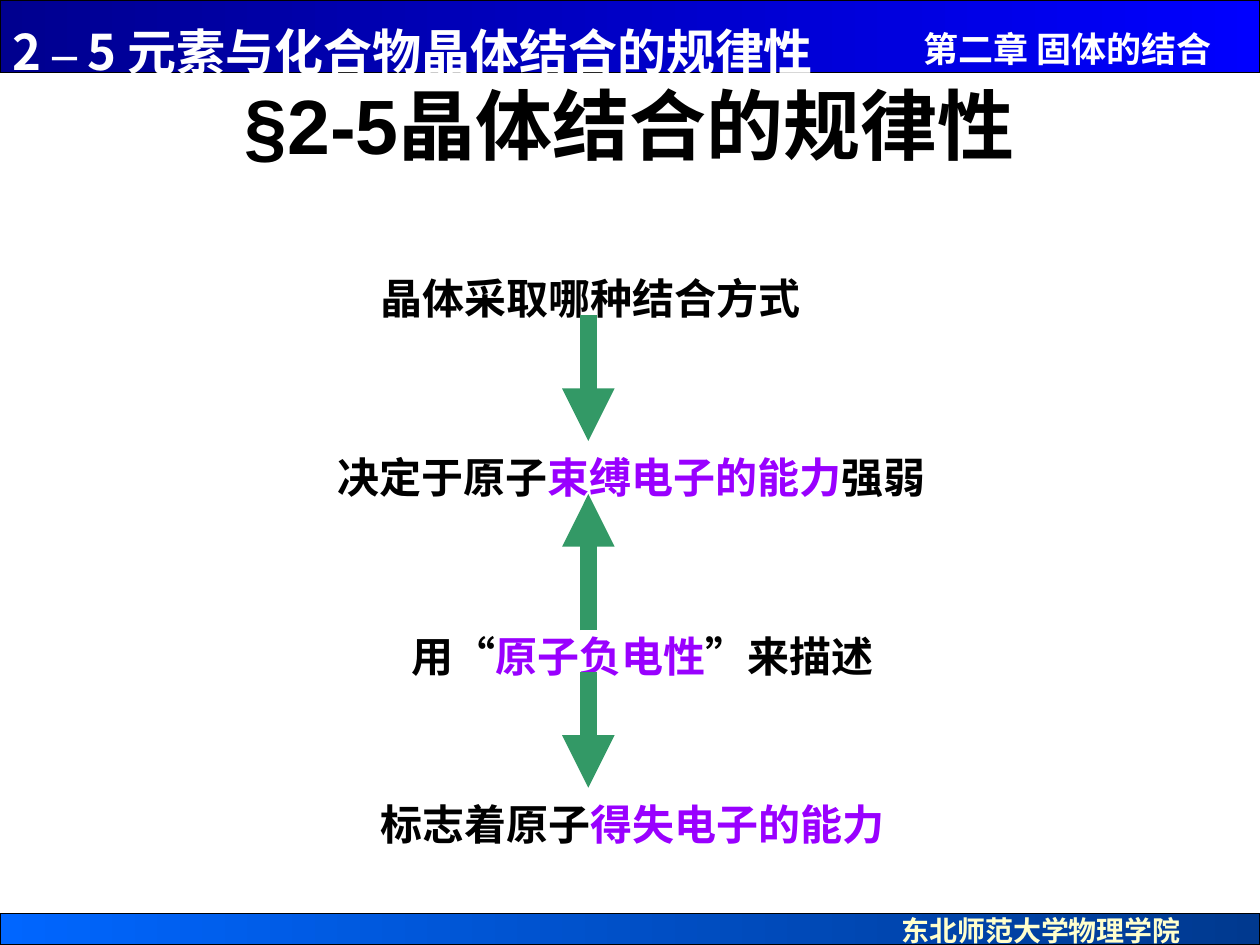
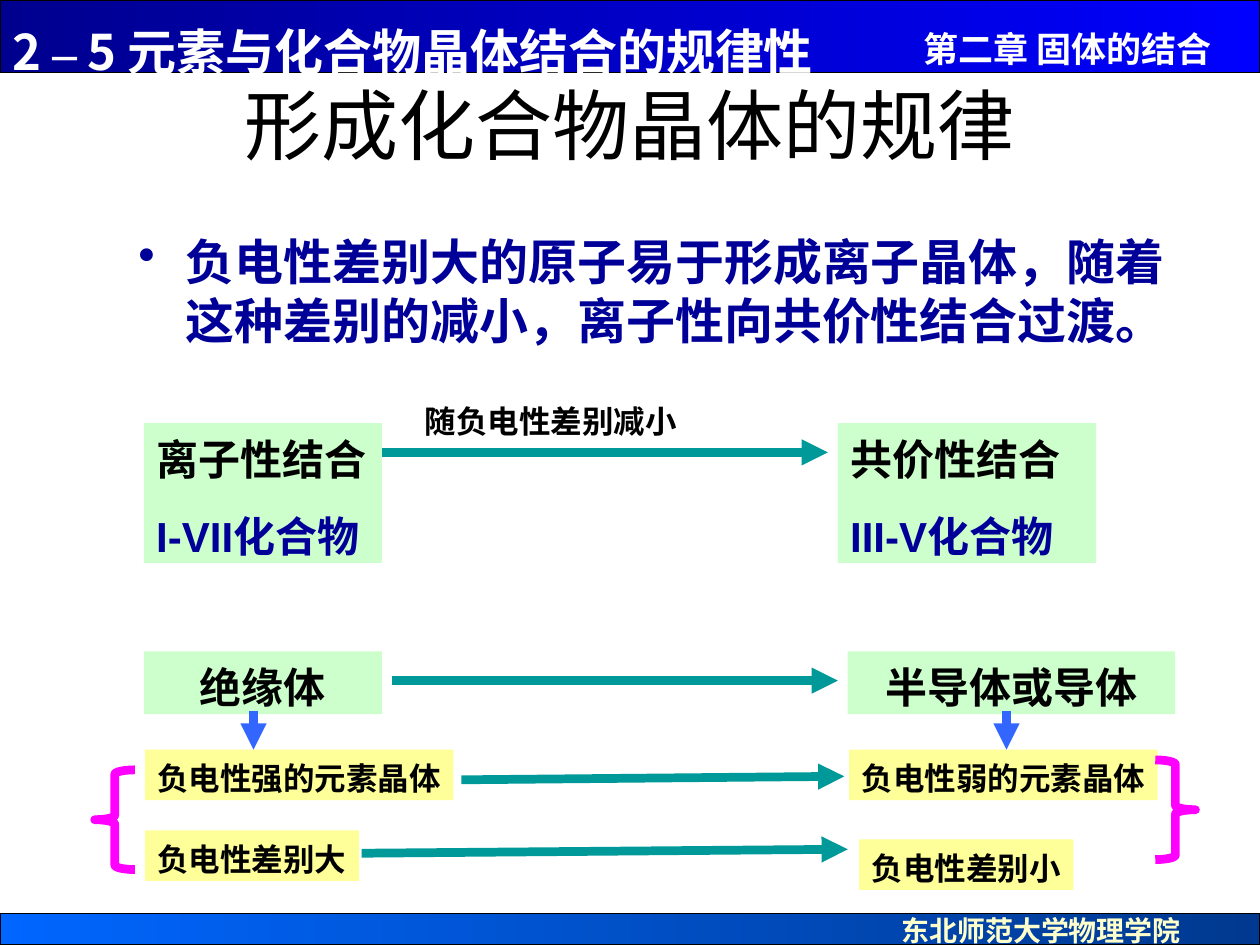
from dataclasses import dataclass

from lxml import etree
from pptx import Presentation
from pptx.dml.color import RGBColor
from pptx.enum.shapes import MSO_CONNECTOR, MSO_SHAPE
from pptx.enum.text import MSO_ANCHOR, MSO_AUTO_SIZE, PP_ALIGN
from pptx.oxml.ns import qn
from pptx.util import Cm, Pt

LEFT, CENTER = PP_ALIGN.LEFT, PP_ALIGN.CENTER
TOP, MIDDLE = MSO_ANCHOR.TOP, MSO_ANCHOR.MIDDLE
NO_FIT = MSO_AUTO_SIZE.NONE
RECTANGLE = MSO_SHAPE.RECTANGLE
LEFT_BRACE, RIGHT_BRACE = MSO_SHAPE.LEFT_BRACE, MSO_SHAPE.RIGHT_BRACE
STRAIGHT = MSO_CONNECTOR.STRAIGHT


@dataclass(frozen=True)
class Theme:
    black: str = "000000"
    white: str = "FFFFFF"
    cream: str = "FFFFCC"
    navy: str = "000099"
    violet: str = "9900FF"
    green: str = "339966"
    teal: str = "009999"
    blue: str = "3366FF"
    magenta: str = "FF00FF"
    mint: str = "CCFFCC"
    yellow: str = "FFFF99"
    header_band: tuple = ("00008F", "0000FF")
    footer_band: tuple = ("0066FF", "00398F")
    sans: str = "Arial"
    serif: str = "Times New Roman"
    chinese: str = "Noto Sans CJK SC"
    title: int = 44
    lead: int = 28
    chapter: int = 20
    body: int = 24
    label: int = 18
    footer: int = 16
    thick: int = 10
    medium: int = 5


THEME = Theme()


def rgb(color):
    return RGBColor.from_string(color)


def write_text(box, paragraphs, *, size, font=THEME.sans, color=THEME.black,
               bold=True, align=LEFT, anchor=TOP, gap=15, bullet=None):
    frame = box.text_frame
    frame.word_wrap = True
    frame.auto_size = NO_FIT
    frame.vertical_anchor = anchor
    frame.margin_left = Cm(0.25)
    frame.margin_right = Cm(0.25 if align == CENTER else 0)
    frame.margin_top = Pt(3.6 + size / 10)
    frame.margin_bottom = Pt(max(0, 3.6 - size / 10))
    for index, spans in enumerate(paragraphs):
        para = frame.add_paragraph() if index else frame.paragraphs[0]
        para.alignment = align
        para.line_spacing = Pt(size * 1.2)
        if index:
            para.space_before = Pt(gap)
        if bullet:
            properties = para._p.get_or_add_pPr()
            properties.set("marL", str(Cm(0.96)))
            properties.set("indent", str(-Cm(0.96)))
            etree.SubElement(properties, qn("a:buChar")).set("char", bullet)
        for words, changes in spans:
            span = para.add_run()
            span.text = words
            span.font.size = Pt(size)
            span.font.bold = bold
            span.font.name = changes.get("font", font)
            span.font.color.rgb = rgb(changes.get("color", color))
            properties = span._r.get_or_add_rPr()
            properties.set("lang", "zh-CN")
            etree.SubElement(properties, qn("a:ea")).set("typeface", THEME.chinese)


def plain(words, **changes):
    return [(words, changes)]


class Builder:
    def __init__(self, theme):
        self.theme = theme
        self.deck = Presentation()
        self.deck.slide_width, self.deck.slide_height = Cm(25.4), Cm(19.05)
        self.page = None

    def start(self, title, bold):
        self.page = self.deck.slides.add_slide(self.deck.slide_layouts[5])
        box = self.page.shapes.title
        box.left, box.top, box.width, box.height = Cm(1.27), Cm(0.76), Cm(22.86), Cm(3.18)
        write_text(box, [plain(title)], size=self.theme.title, bold=bold,
                   align=CENTER, anchor=MIDDLE)

    def text(self, place, *paragraphs, **style):
        box = self.page.shapes.add_textbox(*map(Cm, place))
        write_text(box, paragraphs, **style)
        return box

    def shape(self, kind, place):
        box = self.page.shapes.add_shape(kind, *map(Cm, place))
        box.shadow.inherit = False
        return box

    def panel(self, place, color, *paragraphs, **style):
        box = self.shape(RECTANGLE, place)
        box.fill.solid()
        box.fill.fore_color.rgb = rgb(color)
        box.line.fill.background()
        write_text(box, paragraphs, **style)

    def band(self, place, colors):
        box = self.shape(RECTANGLE, place)
        box.fill.gradient()
        box.fill.gradient_angle = 0
        for stop, position, color in zip(box.fill.gradient_stops, (0, 1), colors):
            stop.position = position
            stop.color.rgb = rgb(color)
        box.line.color.rgb = rgb(self.theme.black)
        box.line.width = Pt(0.75)
        return box

    def brace(self, kind, place):
        box = self.shape(kind, place)
        box.adjustments[0] = 0.11
        box.fill.background()
        box.line.color.rgb = rgb(self.theme.magenta)
        box.line.width = Pt(self.theme.medium)

    def arrow(self, ends, color, width):
        arrow = self.page.shapes.add_connector(STRAIGHT, *map(Cm, ends))
        arrow.line.color.rgb = rgb(color)
        arrow.line.width = Pt(width)
        tail = etree.SubElement(arrow.line._get_or_add_ln(), qn("a:tailEnd"))
        tail.set("type", "triangle")
        etree.SubElement(arrow._element.spPr, qn("a:effectLst"))

    def share_bands(self):
        theme = self.theme
        heading = [("2 ", {}), ("–", {"font": theme.serif}), (" 5 元素与化合物晶体结合的规律性", {})]
        parts = [
            self.band((0, 0, 25.4, 1.47), theme.header_band),
            self.band((0, 18.42, 25.4, 0.63), theme.footer_band),
            self.text((18.36, 0.36, 7.04, 1.12), plain("第二章 固体的结合"),
                      size=theme.chapter, font=theme.chinese, color=theme.white),
            self.text((0, 0.2, 20.75, 1.45), heading,
                      size=theme.lead, font=theme.chinese, color=theme.white),
            self.text((16.59, 18.24, 8.8, 0.8), plain("东北师范大学物理学院"),
                      size=theme.footer, font=theme.serif, color=theme.cream, align=CENTER),
        ]
        tree = self.deck.slide_master.shapes._spTree
        for number, part in enumerate(parts, start=101):
            part._element.nvSpPr.cNvPr.set("id", str(number))
            tree.append(part._element)


def build_rule_page(builder):
    theme = builder.theme
    violet = {"color": theme.violet}
    steps = [
        ((7.42, 5.28, 9.73, 1.27), plain("晶体采取哪种结合方式")),
        ((6.55, 8.89, 12.5, 1.27),
         [("决定于原子", {}), ("束缚电子的能力", violet), ("强弱", {})]),
        ((8.05, 12.5, 12.85, 1.27),
         [("用“", {}), ("原子负电性", violet), ("”来描述", {})]),
        ((7.42, 15.88, 11.63, 1.27), [("标志着原子", {}), ("得失电子的能力", violet)]),
    ]
    for place, spans in steps:
        builder.text(place, spans, size=theme.body, font=theme.serif)
    for start, end in ((6.35, 8.89), (12.7, 9.96), (13.54, 15.88)):
        builder.arrow((11.86, start, 11.86, end), theme.green, theme.thick)


def build_compound_page(builder):
    theme = builder.theme
    builder.text((2.54, 4.45, 21.77, 3.48),
                 plain("负电性差别大的原子易于形成离子晶体，随着这种差别的减小，离子性向共价性结合过渡。"),
                 size=theme.lead, font=theme.chinese, color=theme.navy, bullet="•")
    for left, width, bonding, compound in (
        (2.9, 4.8, "离子性结合", "I-VII化合物"),
        (16.89, 5.21, "共价性结合", "III-V化合物"),
    ):
        builder.panel((left, 8.53, width, 2.82), theme.mint, plain(bonding),
                      plain(compound, color=theme.navy), size=theme.body)
    builder.text((8.31, 7.92, 8.2, 1.02), plain("随负电性差别减小"), size=theme.label)
    for left, width, material in ((2.9, 4.8, "绝缘体"), (17.09, 6.6, "半导体或导体")):
        builder.panel((left, 13.13, width, 1.27), theme.mint, plain(material),
                      size=theme.body, align=CENTER)
    for left, top, width, trait in (
        (2.92, 15.11, 6.22, "负电性强的元素晶体"),
        (17.12, 15.11, 6.22, "负电性弱的元素晶体"),
        (2.92, 16.74, 4.32, "负电性差别大"),
        (17.32, 16.92, 4.32, "负电性差别小"),
    ):
        builder.panel((left, top, width, 1.02), theme.yellow, plain(trait), size=theme.label)
    for ends in ((7.7, 9.12, 16.69, 9.12), (7.9, 13.72, 16.89, 13.72),
                 (9.3, 15.72, 17.02, 15.65), (7.29, 17.2, 17.09, 17.12)):
        builder.arrow(ends, theme.teal, theme.medium)
    for center in (5.11, 20.29):
        builder.arrow((center, 14.33, center, 15.11), theme.blue, theme.medium)
    builder.brace(LEFT_BRACE, (1.91, 15.52, 0.81, 2.01))
    builder.brace(RIGHT_BRACE, (23.29, 15.32, 0.81, 2.01))


def main():
    builder = Builder(THEME)
    builder.start("§2-5晶体结合的规律性", bold=True)
    builder.share_bands()
    build_rule_page(builder)
    builder.start("形成化合物晶体的规律", bold=False)
    build_compound_page(builder)
    builder.deck.save("out.pptx")


if __name__ == "__main__":
    main()
